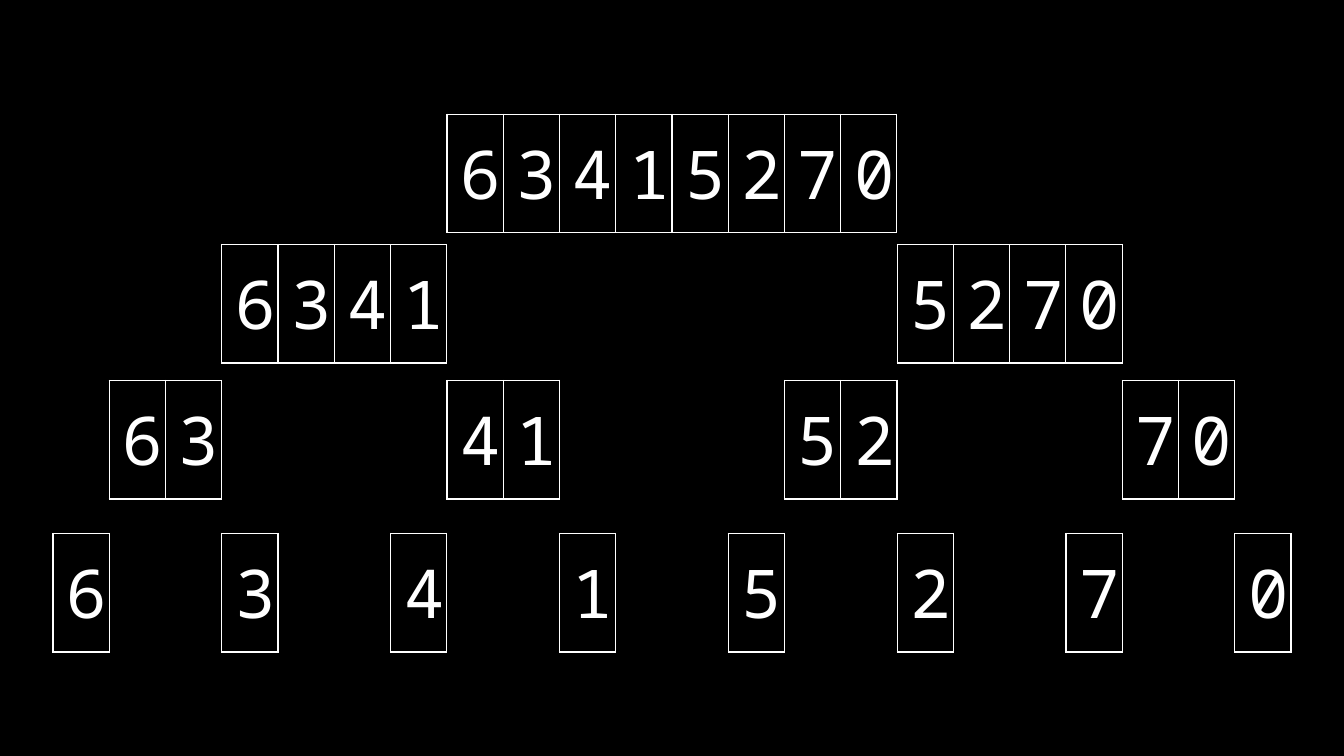
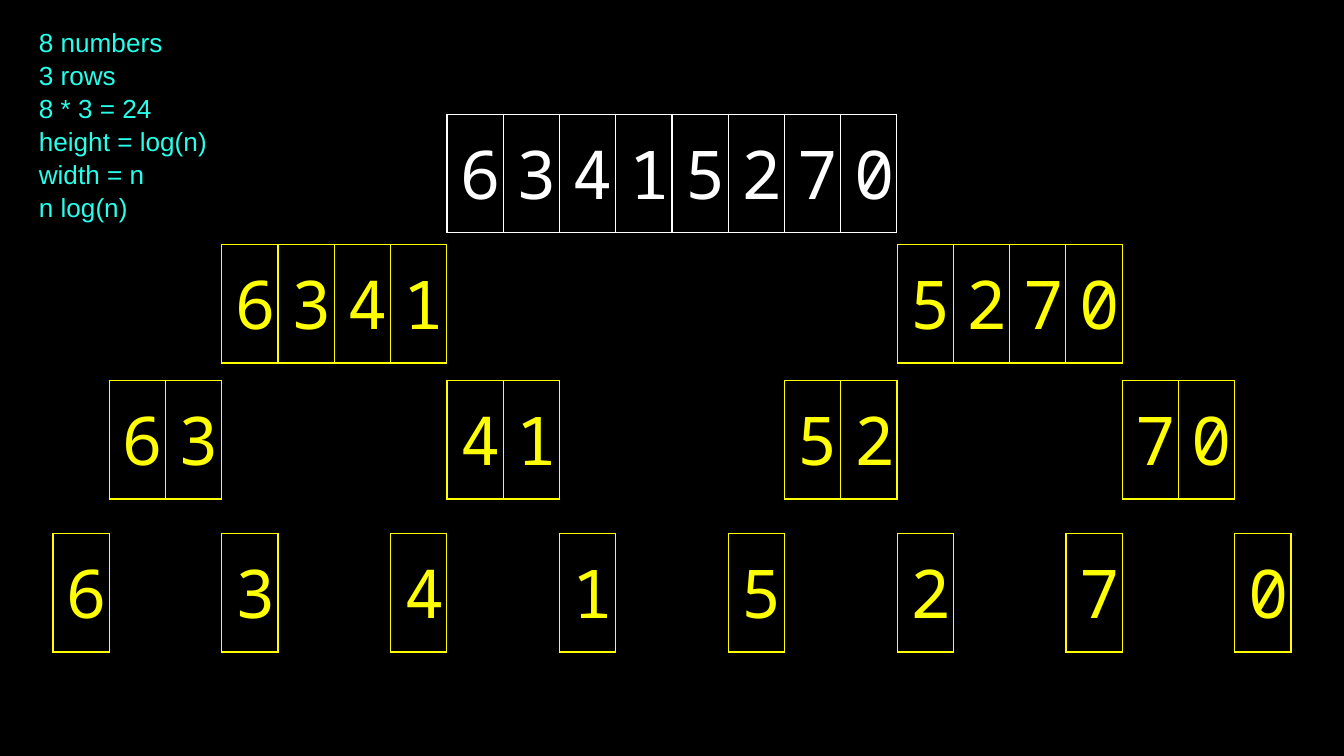
from dataclasses import dataclass
from typing import Any

from lxml.etree import SubElement
from pptx import Presentation
from pptx.dml.color import RGBColor
from pptx.enum.text import MSO_ANCHOR as Anchor, MSO_AUTO_SIZE as AutoSize, PP_ALIGN as Align
from pptx.oxml.ns import qn
from pptx.slide import Slide
from pptx.table import _Cell as Cell
from pptx.util import Pt


@dataclass(frozen=True)
class Theme:
    background: str = "000000"
    plain: str = "FFFFFF"
    counted: str = "FFFF00"
    note: str = "27FFEB"
    digit_font: str = "Noto Sans Mono"
    note_font: str = "Arial"
    digit_size: float = 36
    note_size: float = 14
    border: float = 0.75


@dataclass(frozen=True)
class SplitTree:
    """A merge sort's halving steps; colours are for the whole list and its parts."""
    digits: str
    root_color: str
    part_color: str


THEME = Theme()
SLIDE_WIDTH, SLIDE_HEIGHT = 720, 405
DIGITS = "63415270"
COLUMN = 30.15
LEAF_STEP = 3  # columns from one single digit to the next
TREE_LEFT = (SLIDE_WIDTH - (LEAF_STEP * (len(DIGITS) - 1) + 1) * COLUMN) / 2
LEVEL_TOPS = (61.2, 131, 203.8, 285.8)
ROW_HEIGHT, TABLE_HEIGHT = 23, 57.6

CELL_FORMAT = {
    "vertical_anchor": Anchor.MIDDLE,
    **{f"margin_{side}": Pt(7.2) for side in ("left", "right", "top", "bottom")},
}
TABLE_FORMAT = {"first_row": False, "horz_banding": False}
NOTE_FORMAT = {"word_wrap": True, "auto_size": AutoSize.SHAPE_TO_FIT_TEXT}
NOTE_LINES = ("8 numbers", "3 rows", "8 * 3 = 24", "height = log(n)", "width = n", "n log(n)")


def apply(target: Any, values: dict[str, Any]) -> None:
    for name, value in values.items():
        setattr(target, name, value)


def write(para: Any, text: str, font: str, size: float, color: str) -> None:
    span = para.add_run()
    span.text = text
    apply(span.font, {"name": font, "size": Pt(size)})
    span.font.color.rgb = RGBColor.from_string(color)


def outline(cell: Cell, color: str) -> None:
    properties = cell._tc.get_or_add_tcPr()
    for side in ("lnL", "lnR", "lnT", "lnB"):
        line = SubElement(properties, qn(f"a:{side}"), w=str(Pt(THEME.border)))
        fill = SubElement(line, qn("a:solidFill"))
        SubElement(fill, qn("a:srgbClr"), val=color)


def draw_list(page: Slide, digits: str, left: float, top: float, color: str) -> None:
    frame = page.shapes.add_table(1, len(digits), Pt(left), Pt(top),
                                  Pt(COLUMN * len(digits)), Pt(TABLE_HEIGHT))
    table = frame.table
    apply(table, TABLE_FORMAT)
    table.rows[0].height = Pt(ROW_HEIGHT)
    frame.height = Pt(TABLE_HEIGHT)
    for column, cell, digit in zip(table.columns, table.rows[0].cells, digits):
        column.width = Pt(COLUMN)
        apply(cell, CELL_FORMAT)
        outline(cell, color)
        cell.fill.background()
        para = cell.text_frame.paragraphs[0]
        para.alignment = Align.CENTER
        write(para, digit, THEME.digit_font, THEME.digit_size, color)


def draw_tree(page: Slide, tree: SplitTree, start: int = 0, level: int = 0) -> None:
    """Draw the list that begins at start, centred over its digits, then both its halves."""
    size = len(tree.digits) >> level
    left = TREE_LEFT + (LEAF_STEP * start + size - 1) * COLUMN
    color = tree.part_color if level else tree.root_color
    draw_list(page, tree.digits[start:start + size], left, LEVEL_TOPS[level], color)
    if size > 1:
        for half in (start, start + size // 2):
            draw_tree(page, tree, half, level + 1)


def draw_cost_note(page: Slide) -> None:
    box = page.shapes.add_textbox(Pt(13.7), Pt(10), Pt(111.6), Pt(108.7))
    apply(box.text_frame, NOTE_FORMAT)
    for index, text in enumerate(NOTE_LINES):
        para = box.text_frame.add_paragraph() if index else box.text_frame.paragraphs[0]
        para.line_spacing = 1.05
        write(para, text, THEME.note_font, THEME.note_size, THEME.note)


def add_page(deck: Any, tree: SplitTree) -> Slide:
    page = deck.slides.add_slide(deck.slide_layouts[6])
    fill = page.background.fill
    fill.solid()
    fill.fore_color.rgb = RGBColor.from_string(THEME.background)
    draw_tree(page, tree)
    return page


def main() -> None:
    deck = Presentation()
    apply(deck, {"slide_width": Pt(SLIDE_WIDTH), "slide_height": Pt(SLIDE_HEIGHT)})
    add_page(deck, SplitTree(DIGITS, THEME.plain, THEME.plain))
    draw_cost_note(add_page(deck, SplitTree(DIGITS, THEME.plain, THEME.counted)))
    deck.save("out.pptx")


if __name__ == "__main__":
    main()
